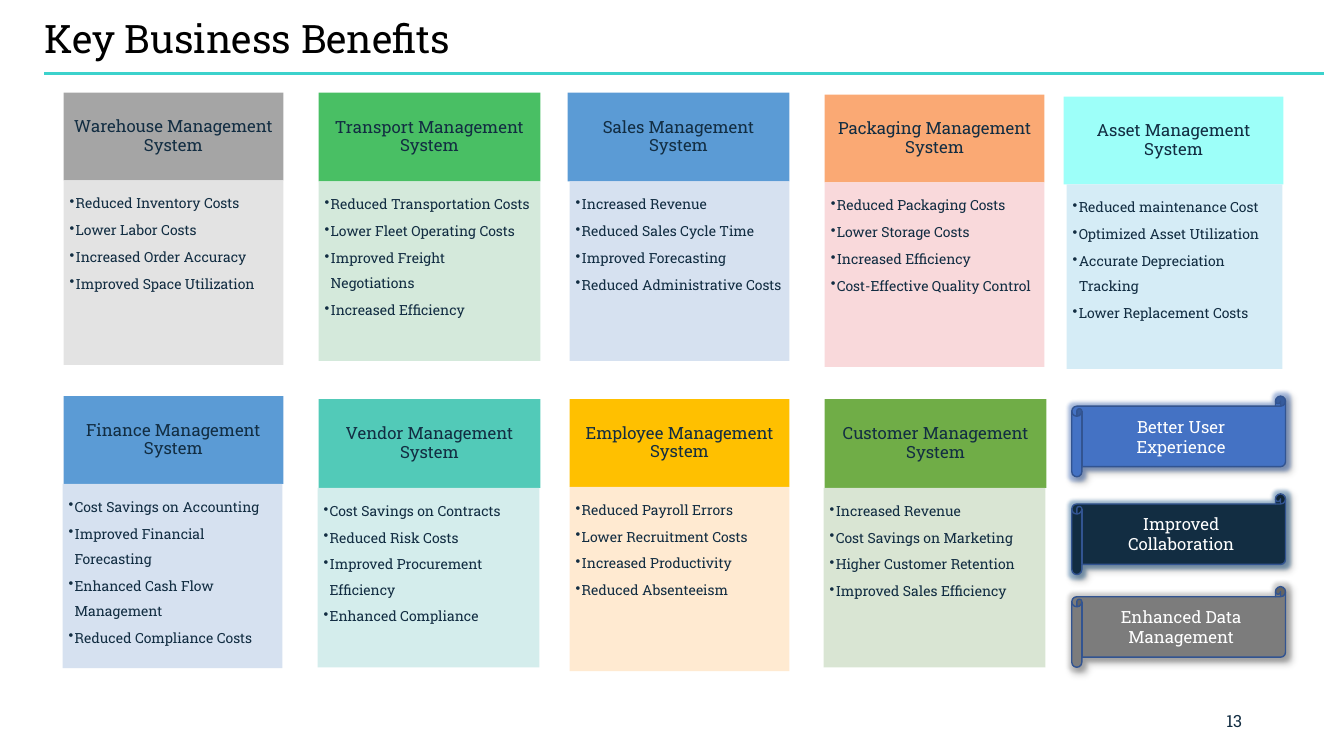
from dataclasses import dataclass
from lxml.etree import SubElement
from pptx import Presentation
from pptx.dml.color import RGBColor
from pptx.enum.shapes import MSO_CONNECTOR, MSO_SHAPE
from pptx.enum.text import MSO_ANCHOR, PP_ALIGN
from pptx.oxml.ns import qn
from pptx.util import Pt

# Content
TITLE = "Key Business Benefits"
NUMBER = "13"

# Head and body heights, head width
TALL = (87, 183, 218)
WIDE = (88, 178, 220)

# Name, benefits, head fill, body fill, opacity, left, top, size, body shift, body width
CARDS = [
    ("Warehouse", ["Reduced Inventory Costs", "Lower Labor Costs",
                   "Increased Order Accuracy", "Improved Space Utilization"],
     "A5A5A5", "E1E1E1", 90, 63, 92, TALL, 0, 218),
    ("Transport", ["Reduced Transportation Costs", "Lower Fleet Operating Costs",
                   "Improved Freight Negotiations", "Increased Efficiency"],
     "49BF64", "D0E7D8", 90, 316, 92, WIDE, 0, 220),
    ("Sales", ["Increased Revenue", "Reduced Sales Cycle Time",
               "Improved Forecasting", "Reduced Administrative Costs"],
     "5B9BD5", "D2DEEF", 90, 563, 92, WIDE, 2, 218),
    ("Packaging", ["Reduced Packaging Costs", "Lower Storage Costs",
                   "Increased Efficiency", "Cost-Effective Quality Control"],
     "FAA974", "F9D9DB", 100, 818, 94, TALL, 0, 218),
    ("Asset", ["Reduced maintenance Cost", "Optimized Asset Utilization",
               "Accurate Depreciation Tracking", "Lower Replacement Costs"],
     "9DFFF9", "D5ECF6", 100, 1055, 96, TALL, 3, 214),
    ("Finance", ["Cost Savings on Accounting", "Improved Financial Forecasting",
                 "Enhanced Cash Flow Management", "Reduced Compliance Costs"],
     "5B9BD5", "D2DEEF", 90, 63, 393, TALL, -1, 218),
    ("Vendor", ["Cost Savings on Contracts", "Reduced Risk Costs",
                "Improved Procurement Efficiency", "Enhanced Compliance"],
     "52CAB8", "D0ECEA", 90, 316, 396, WIDE, -1, 220),
    ("Employee", ["Reduced Payroll Errors", "Lower Recruitment Costs",
                  "Increased Productivity", "Reduced Absenteeism"],
     "FFC000", "FFE8CC", 90, 565, 396, TALL, 0, 218),
    ("Customer", ["Increased Revenue", "Cost Savings on Marketing",
                  "Higher Customer Retention", "Improved Sales Efficiency"],
     "70AD47", "D5E3CF", 90, 818, 396, WIDE, -1, 220),
]

# Lines, top, fill, glow
SCROLLS = [
    (["Better User Experience"], 393, "4472C4", "4472C4"),
    (["Improved", "Collaboration"], 490, "122D42", "2A6AA0"),
    (["Enhanced Data Management"], 582, "7C7C7C", "A5A5A5"),
]


@dataclass(frozen=True)
class Theme:
    font: str = "Roboto Slab"
    ink: str = "122D42"
    black: str = "000000"
    white: str = "FFFFFF"
    rule: str = "3CD2CC"
    edge: str = "325491"
    title: int = 28
    head: int = 12
    list: int = 10


LOOK = Theme()
PX = 9144  # 100 px to the inch


def box(*sides):
    return [side * PX for side in sides]


def rgb(code):
    return RGBColor.from_string(code)


def tint(parent, code, alpha):
    node = SubElement(parent, qn("a:srgbClr"), val=code)
    SubElement(node, qn("a:alpha"), val=str(alpha * 1000))


def write(shape, lines, size=LOOK.head, color=LOOK.ink, align=PP_ALIGN.CENTER,
          anchor=MSO_ANCHOR.MIDDLE, inset=(10, 5, 10, 5), lead=1.0, after=0, bullet=False):
    frame = shape.text_frame
    frame.word_wrap = True
    frame.vertical_anchor = anchor
    (frame.margin_left, frame.margin_top,
     frame.margin_right, frame.margin_bottom) = box(*inset)
    for i, line in enumerate(lines):
        para = frame.paragraphs[0] if i == 0 else frame.add_paragraph()
        para.alignment, para.line_spacing, para.space_after = align, lead, Pt(after)
        run = para.add_run()
        run.text = line
        run.font.name, run.font.size = LOOK.font, Pt(size)
        run.font.color.rgb = rgb(color)
        if bullet:
            props = para._p.get_or_add_pPr()
            props.set("marL", str(6 * PX))
            props.set("indent", str(-6 * PX))
            SubElement(props, qn("a:buChar"), char="•")


def block(slide, kind, place, fill, alpha=100):
    shape = slide.shapes.add_shape(kind, *box(*place))
    shape.shadow.inherit = False
    shape.fill.solid()
    shape.fill.fore_color.rgb = rgb(fill)
    shape.line.fill.background()
    if alpha < 100:
        node = shape._element.spPr.find(qn("a:solidFill"))[0]
        SubElement(node, qn("a:alpha"), val=str(alpha * 1000))
    return shape


def card(slide, name, items, dark, pale, alpha, left, top, size, shift, width):
    head, body, span = size
    cap = block(slide, MSO_SHAPE.RECTANGLE, (left, top, span, head), dark)
    write(cap, [f"{name} Management System"], inset=(9, 5, 9, 5), lead=0.9)
    base = block(slide, MSO_SHAPE.RECTANGLE, (left + shift, top + head, width, body), pale, alpha)
    write(base, items, size=LOOK.list, align=PP_ALIGN.LEFT, anchor=MSO_ANCHOR.TOP,
          inset=(6, 6, 8, 9), lead=1.5, after=1.1, bullet=True)


def scroll(slide, lines, top, fill, glow):
    shape = block(slide, MSO_SHAPE.HORIZONTAL_SCROLL, (1063, top, 212, 80), fill)
    shape.line.color.rgb = rgb(LOOK.edge)
    shape.line.width = Pt(1)
    effects = shape._element.spPr.find(qn("a:effectLst"))
    tint(SubElement(effects, qn("a:glow"), rad=str(Pt(5))), glow, 40)
    shade = SubElement(effects, qn("a:outerShdw"), blurRad=str(Pt(4)), dist=str(Pt(3)),
                       dir=str(45 * 60000), algn="tl", rotWithShape="0")
    tint(shade, LOOK.black, 40)
    write(shape, lines, color=LOOK.white)


def main():
    deck = Presentation()
    deck.slide_width, deck.slide_height = box(1333, 750)
    slide = deck.slides.add_slide(deck.slide_layouts[5])

    # Title and rule
    title = slide.shapes.title
    title.left, title.top, title.width, title.height = box(34, 9, 919, 63)
    write(title, [TITLE], size=LOOK.title, color=LOOK.black, align=PP_ALIGN.LEFT, lead=0.9)
    rule = slide.shapes.add_connector(MSO_CONNECTOR.STRAIGHT, *box(44, 73, 1313, 73))
    rule.line.color.rgb = rgb(LOOK.rule)
    rule.line.width = Pt(2.25)
    SubElement(rule._element.spPr, qn("a:effectLst"))

    # Cards and scrolls
    for row in CARDS:
        card(slide, *row)
    for row in SCROLLS:
        scroll(slide, *row)

    # Page number
    page = slide.shapes.add_textbox(*box(942, 695, 300, 40))
    write(page, [NUMBER], align=PP_ALIGN.RIGHT)

    deck.save("out.pptx")


if __name__ == "__main__":
    main()
